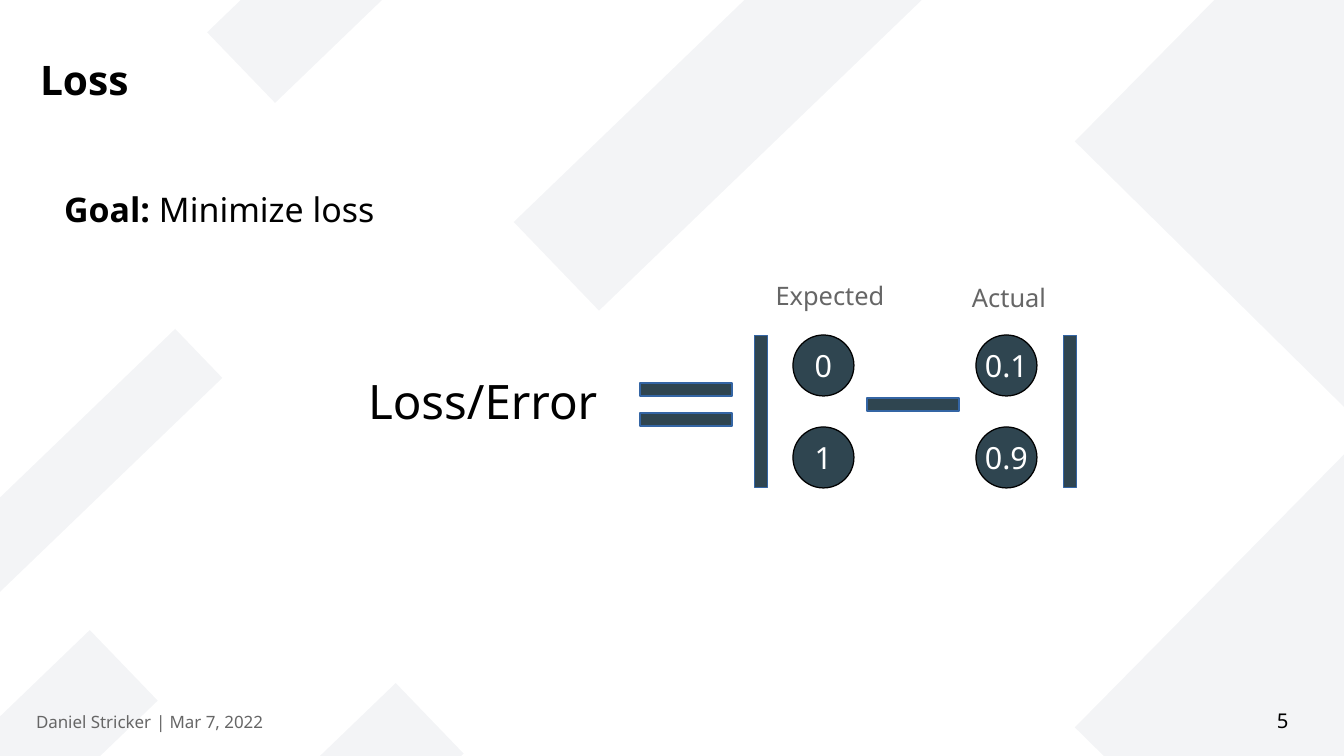
from lxml.etree import SubElement
from pptx import Presentation
from pptx.dml.color import RGBColor
from pptx.enum.shapes import MSO_SHAPE
from pptx.enum.text import MSO_ANCHOR, PP_ALIGN
from pptx.oxml.ns import qn
from pptx.util import Pt

EMU_PER_PIXEL = 914400 / 122
COLORS = {"band": "8D99AE", "slate": "2F4550", "bar_edge": "3465A4",
          "black": "000000", "gray": "666666", "white": "FFFFFF"}


def emu(pixels):
    return round(pixels * EMU_PER_PIXEL)


def rgb(name):
    return RGBColor.from_string(COLORS[name])


class SlideBuilder:
    font = "Noto Sans"

    def __init__(self, slide):
        self.slide = slide

    def fill_text(self, frame, runs, size, color, align=PP_ALIGN.LEFT, **frame_format):
        for name, value in frame_format.items():
            setattr(frame, name, value)
        paragraph = frame.paragraphs[0]
        paragraph.alignment = align
        for words, bold in runs:
            run = paragraph.add_run()
            run.text = words
            run.font.color.rgb = rgb(color)
            for name, value in {"name": self.font, "size": Pt(size), "bold": bold}.items():
                setattr(run.font, name, value)

    def title(self, words, box, size):
        title = self.slide.shapes.title
        for name, value in zip(("left", "top", "width", "height"), box):
            setattr(title, name, emu(value))
        self.fill_text(title.text_frame, [(words, True)], size, "black", word_wrap=True,
                       vertical_anchor=MSO_ANCHOR.MIDDLE, margin_left=0, margin_top=0,
                       margin_right=0, margin_bottom=0)

    def text(self, runs, box, size, color="black", align=PP_ALIGN.LEFT):
        label = self.slide.shapes.add_textbox(*map(emu, box))
        self.fill_text(label.text_frame, runs, size, color, align, word_wrap=True)

    def shape(self, kind, box, fill, edge=None, rotation=0):
        shape = self.slide.shapes.add_shape(kind, *map(emu, box))
        shape.shadow.inherit = False
        shape.rotation = rotation
        shape.fill.solid()
        shape.fill.fore_color.rgb = rgb(fill)
        if edge:
            shape.line.color.rgb = rgb(edge)
            shape.line.width = Pt(0)
        else:
            shape.line.fill.background()
        return shape

    def band(self, box, rotation):
        band = self.shape(MSO_SHAPE.RECTANGLE, box, "band", rotation=rotation)
        color = band.element.spPr.find(qn("a:solidFill"))[0]
        SubElement(color, qn("a:alpha")).set("val", "10000")

    def bar(self, box, rotation=0):
        self.shape(MSO_SHAPE.RECTANGLE, box, "slate", "bar_edge", rotation)

    def circle(self, value, left, top, diameter=61):
        circle = self.shape(MSO_SHAPE.OVAL, (left, top, diameter, diameter), "slate", "black")
        self.fill_text(circle.text_frame, [(value, False)], 18, "white", PP_ALIGN.CENTER,
                       word_wrap=False, vertical_anchor=MSO_ANCHOR.MIDDLE)


presentation = Presentation()
presentation.slide_width, presentation.slide_height = emu(1344), emu(756)
loss = SlideBuilder(presentation.slides.add_slide(presentation.slide_layouts[5]))

# Background bands
for top in (-54, 532):
    loss.band((1155, top, 387, 387), 314.6)
for band_box in ((133, 789, 345, 98), (-173, 736, 345, 98), (492, 45, 461, 123),
                 (193, -101, 345, 98), (-98, 439, 345, 68)):
    loss.band(band_box, 316.1)

# Title and goal
loss.title("Loss", (40, 30, 1210, 98), 24)
loss.text([("Goal:", True), (" Minimize loss", False)], (52, 183, 375, 105), 20)

# Left side of the equation and equals sign
loss.text([("Loss/Error", False)], (356, 366, 270, 77), 28)
for equals_top in (383, 413):
    loss.bar((640, equals_top, 92, 13))

# Absolute difference of expected and actual values
for bracket_left in (685, 994):
    loss.bar((bracket_left, 405, 152, 13), 90)
loss.bar((867, 398, 92, 13))
for heading, heading_left, heading_top, circle_left, values in (
        ("Expected", 723, 274, 793, ("0", "1")),
        ("Actual", 902, 276, 976, ("0.1", "0.9"))):
    loss.text([(heading, False)], (heading_left, heading_top, 214, 61), 15, "gray",
              PP_ALIGN.CENTER)
    for row, value in enumerate(values):
        loss.circle(value, circle_left, 335 + row * 92)

# Footer
loss.text([("Daniel Stricker", False)], (24, 706, 150, 35), 10, "gray")
loss.text([("| Mar 7, 2022", False)], (144, 706, 140, 35), 10, "gray")
loss.text([("5", False)], (1265, 702, 60, 45), 12)

presentation.save("out.pptx")
